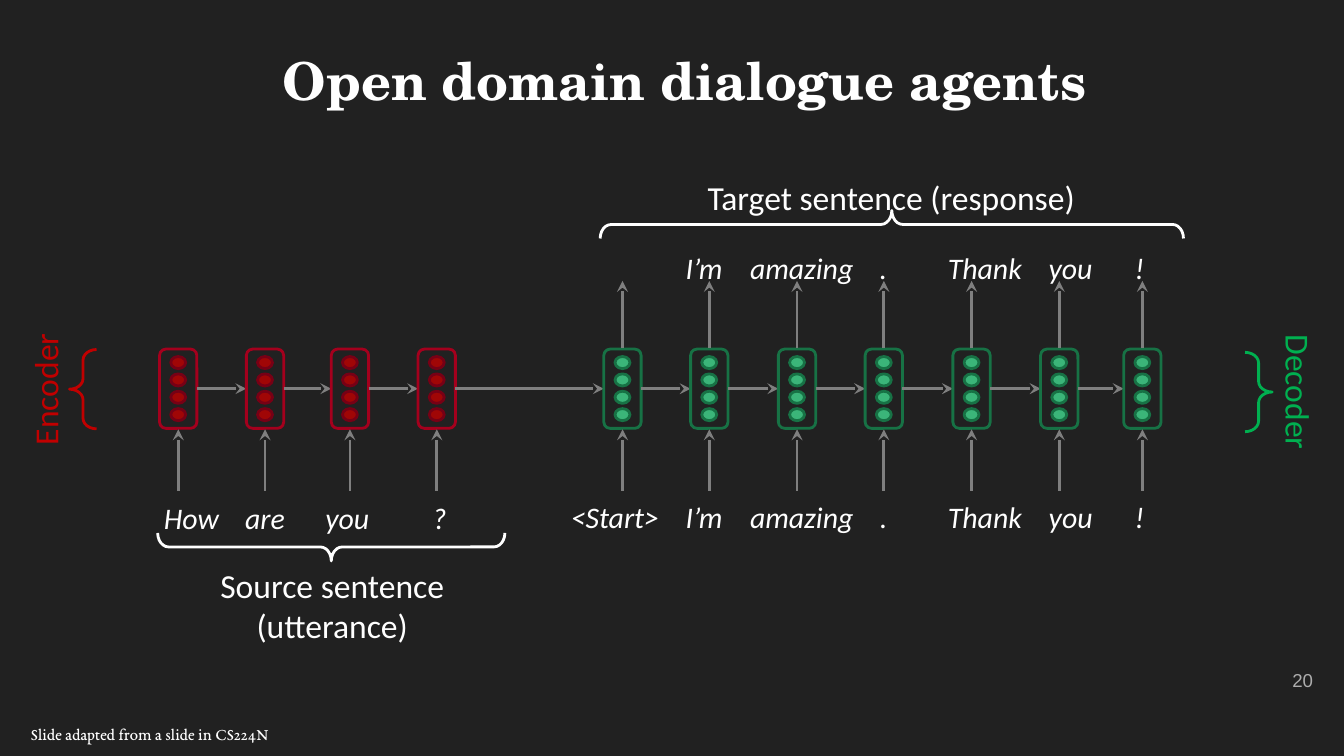
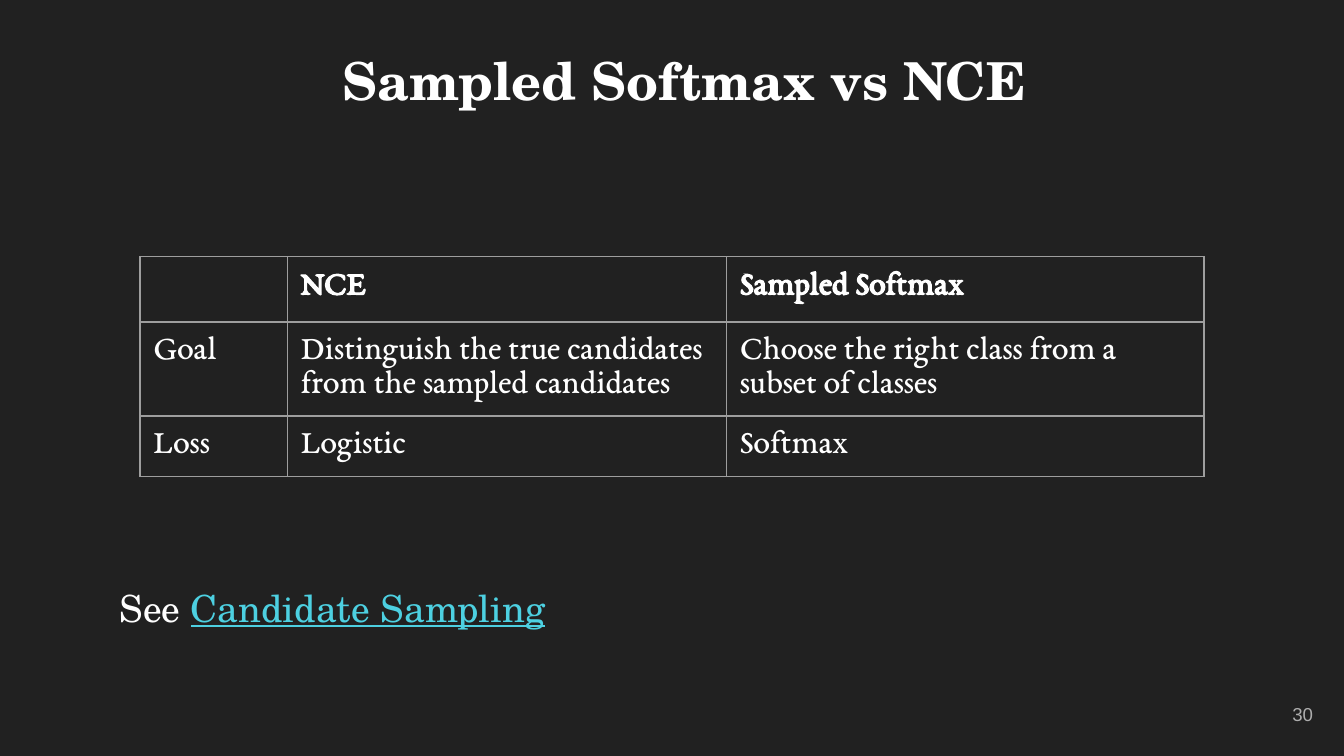
from dataclasses import dataclass
from lxml.etree import SubElement as Sub
from pptx import Presentation
from pptx.dml.color import RGBColor as Rgb
from pptx.enum.shapes import MSO_CONNECTOR as Link, MSO_SHAPE as Kind
from pptx.enum.text import MSO_ANCHOR as Anchor, MSO_AUTO_SIZE as Fit, PP_ALIGN as Align
from pptx.oxml.ns import qn
from pptx.util import Pt


# Colours, fonts and type sizes
@dataclass(frozen=True)
class Theme:
    back: str = "212121"
    white: str = "FFFFFF"
    gray: str = "ADADAD"
    arrow: str = "7F7F7F"
    grid: str = "9E9E9E"
    link: str = "4DD0E1"
    red: str = "C00000"
    green: str = "00B050"
    serif: str = "TeX Gyre Schola"
    book: str = "EB Garamond"
    sans: str = "Calibri"
    plain: str = "Arial"
    head: int = 28
    lead: int = 20
    body: int = 18
    word: int = 16
    page: int = 10
    note: int = 9
    stroke: float = 1.5
    hair: float = 0.75

    def font(self, name, size, color=white, **more):
        return {"name": name, "size": Pt(size), "color": color, **more}


@dataclass(frozen=True)
class Cell:
    dot: str
    rim: str
    box: str


class Deck:
    def __init__(self, theme):
        self.theme = theme
        self.show = Presentation()
        self.show.slide_width, self.show.slide_height = Pt(720), Pt(405)
        self.slide = None

    # Slide with background, title and page number
    def page(self, title, number, top):
        t = self.theme
        self.slide = self.show.slides.add_slide(self.show.slide_layouts[5])
        fill = self.slide.background.fill
        fill.solid()
        fill.fore_color.rgb = Rgb.from_string(t.back)
        head = self.slide.shapes.title
        self.place(head, (48.25, 18.75, 637, 60))
        self.layout(head.text_frame, [(title, t.font(t.serif, t.head, bold=True))],
                    Align.CENTER, pad=7.2)
        self.text((667.5, top, 43, 31), str(number), t.font(t.plain, t.page, t.gray),
                  Align.RIGHT, pad=7.2, anchor=Anchor.MIDDLE)

    def place(self, shape, box):
        for key, value in zip(("left", "top", "width", "height"), box):
            setattr(shape, key, Pt(value))

    def layout(self, frame, runs, align=Align.LEFT, pad=3.6, anchor=Anchor.TOP):
        look = {"word_wrap": True, "auto_size": Fit.NONE, "vertical_anchor": anchor,
                "margin_left": Pt(7.2), "margin_right": Pt(7.2),
                "margin_top": Pt(pad), "margin_bottom": Pt(pad)}
        for key, value in look.items():
            setattr(frame, key, value)
        return self.fill(frame, runs, align)

    def fill(self, frame, runs, align=Align.LEFT):
        para = frame.paragraphs[0]
        para.alignment = align
        for words, style in runs:
            run = para.add_run()
            run.text = words
            for key, value in style.items():
                if key == "color":
                    run.font.color.rgb = Rgb.from_string(value)
                else:
                    setattr(run.font, key, value)
        return para

    def text(self, box, words, style=None, align=Align.LEFT, turn=0, **look):
        shape = self.slide.shapes.add_textbox(*map(Pt, box))
        shape.rotation = turn
        runs = [(words, style)] if isinstance(words, str) else words
        return self.layout(shape.text_frame, runs, align, **look)

    # Words set on tab stops, given from the left of the text
    def words(self, box, words, stops):
        t = self.theme
        para = self.text(box, "\t".join(words), t.font(t.sans, t.word, italic=True))
        tabs = Sub(para._p.get_or_add_pPr(), qn("a:tabLst"))
        for stop in stops:
            Sub(tabs, qn("a:tab"), pos=str(Pt(stop)), algn="l")

    def shape(self, kind, box, line, fill=None, alpha=80, turn=0, adj=(), home=None):
        shape = (home or self.slide).shapes.add_shape(kind, *map(Pt, box))
        shape.shadow.inherit = False
        shape.rotation = turn
        for i, value in enumerate(adj):
            shape.adjustments[i] = value
        shape.line.color.rgb = Rgb.from_string(line)
        shape.line.width = Pt(self.theme.stroke)
        if fill:
            shape.fill.solid()
            shape.fill.fore_color.rgb = Rgb.from_string(fill)
            tint = shape._element.spPr.find(qn("a:solidFill"))[0]
            Sub(tint, qn("a:alpha"), val=str(alpha * 1000))
        else:
            shape.fill.background()

    def brace(self, box, color, turn=0):
        self.shape(Kind.LEFT_BRACE, box, color, turn=turn, adj=(0.39, 0.5))

    def arrow(self, *ends):
        line = self.slide.shapes.add_connector(Link.STRAIGHT, *map(Pt, ends))
        line.line.color.rgb = Rgb.from_string(self.theme.arrow)
        line.line.width = Pt(self.theme.stroke)
        props = line._element.spPr
        Sub(props.find(qn("a:ln")), qn("a:tailEnd"), type="stealth")
        Sub(props, qn("a:effectLst"))

    # Network cell: four dots in a rounded box, centred on x
    def cell(self, x, look):
        group = self.slide.shapes.add_group_shape()
        for i in range(4):
            self.shape(Kind.OVAL, (x - 4, 191 + 9.3 * i, 8, 6.5), look.rim,
                       fill=look.dot, home=group)
        self.shape(Kind.ROUNDED_RECTANGLE, (x - 10, 187, 20, 42.5), look.box,
                   adj=(0.17,), home=group)

    def table(self, spot, cols, rows, data):
        t = self.theme
        box = (*spot, sum(cols), sum(rows))
        grid = self.slide.shapes.add_table(len(rows), len(cols), *map(Pt, box)).table
        grid.first_row = grid.horz_banding = False
        for col, width in zip(grid.columns, cols):
            col.width = Pt(width)
        for r, (row, height) in enumerate(zip(grid.rows, rows)):
            row.height = Pt(height)
            for cell, words in zip(row.cells, data[r]):
                for side in ("left", "right", "top", "bottom"):
                    setattr(cell, "margin_" + side, Pt(7.2))
                self.fill(cell.text_frame, [(words, t.font(t.book, t.body, bold=r == 0))])
                self.edge(cell)
                cell.fill.background()

    def edge(self, cell):
        props = cell._tc.get_or_add_tcPr()
        for side in "LRTB":
            line = Sub(props, qn("a:ln" + side), w=str(Pt(self.theme.hair)))
            Sub(Sub(line, qn("a:solidFill")), qn("a:srgbClr"), val=self.theme.grid)


def agents(deck):
    t = deck.theme
    deck.page("Open domain dialogue agents", 20, 349)
    red = Cell(t.red, "770015", "A4001D")
    green = Cell("42DA8F", "177245", "177245")

    # Encoder and decoder chain
    coder = [95.5, 142, 187.5, 234]
    maker = [333.5, 380, 427, 473.5, 520.5, 567.5, 612]
    chain = coder + maker
    for i, x in enumerate(chain):
        deck.cell(x, red if x in coder else green)
        deck.arrow(x, 263, x, 230)
        if x in maker:
            deck.arrow(x, 186.5, x, 150.5)
        if i + 1 < len(chain):
            deck.arrow(x + 10, 208.25, chain[i + 1] - 10, 208.25)

    # Words below and above the cells
    reply = ["I’m", "amazing", ".", "Thank", "you", "!"]
    stops = [61.5, 96, 165.5, 202, 256, 302]
    deck.words((80.75, 264.25, 197, 19), ["How", "are", "you", "?"], [43.5, 86.5, 144])
    deck.words((298.75, 263.5, 358.5, 19), ["<Start>"] + reply, stops)
    deck.words((298.75, 130.25, 348.5, 19), [""] + reply, stops)

    # Braces and their labels
    for box, words, color, turn in [
        ((79, 299, 198, 20), "Source sentence (utterance)", t.white, 0),
        ((355, 91.5, 245, 20), "Target sentence (response)", t.white, 0),
        ((-21, 194.5, 89.5, 28), "Encoder", t.red, 270),
        ((653, 196, 86.5, 28), "Decoder", t.green, 90),
    ]:
        deck.text(box, words, t.font(t.sans, t.body, color), Align.CENTER, turn)
    deck.brace((170, 200, 15, 186), t.white, 270)
    deck.brace((470.25, -36, 15, 312.5), t.white, 90)
    deck.brace((37.25, 187.25, 14.5, 42.5), t.red)
    deck.brace((667, 188.75, 14.5, 42.5), t.green, 180)

    deck.text((9.5, 381, 422, 24), "Slide adapted from a slide in CS224N",
              t.font(t.book, t.note), pad=7.2, anchor=Anchor.MIDDLE)


def versus(deck):
    t = deck.theme
    deck.page("Sampled Softmax vs NCE", 30, 367)
    see = [("See ", t.font(t.serif, t.lead)),
           ("Candidate Sampling", t.font(t.serif, t.lead, t.link, underline=True))]
    deck.text((57, 302.5, 606, 92), see, pad=7.2).line_spacing = 1.15
    deck.table((75, 137.5), (79, 235.25, 255.75), (35, 50.25, 32.5), [
        ("", "NCE", "Sampled Softmax"),
        ("Goal", "Distinguish the true candidates from the sampled candidates",
         "Choose the right class from a subset of classes"),
        ("Loss", "Logistic", "Softmax"),
    ])


def main():
    deck = Deck(Theme())
    agents(deck)
    versus(deck)
    deck.show.save("out.pptx")


if __name__ == "__main__":
    main()
